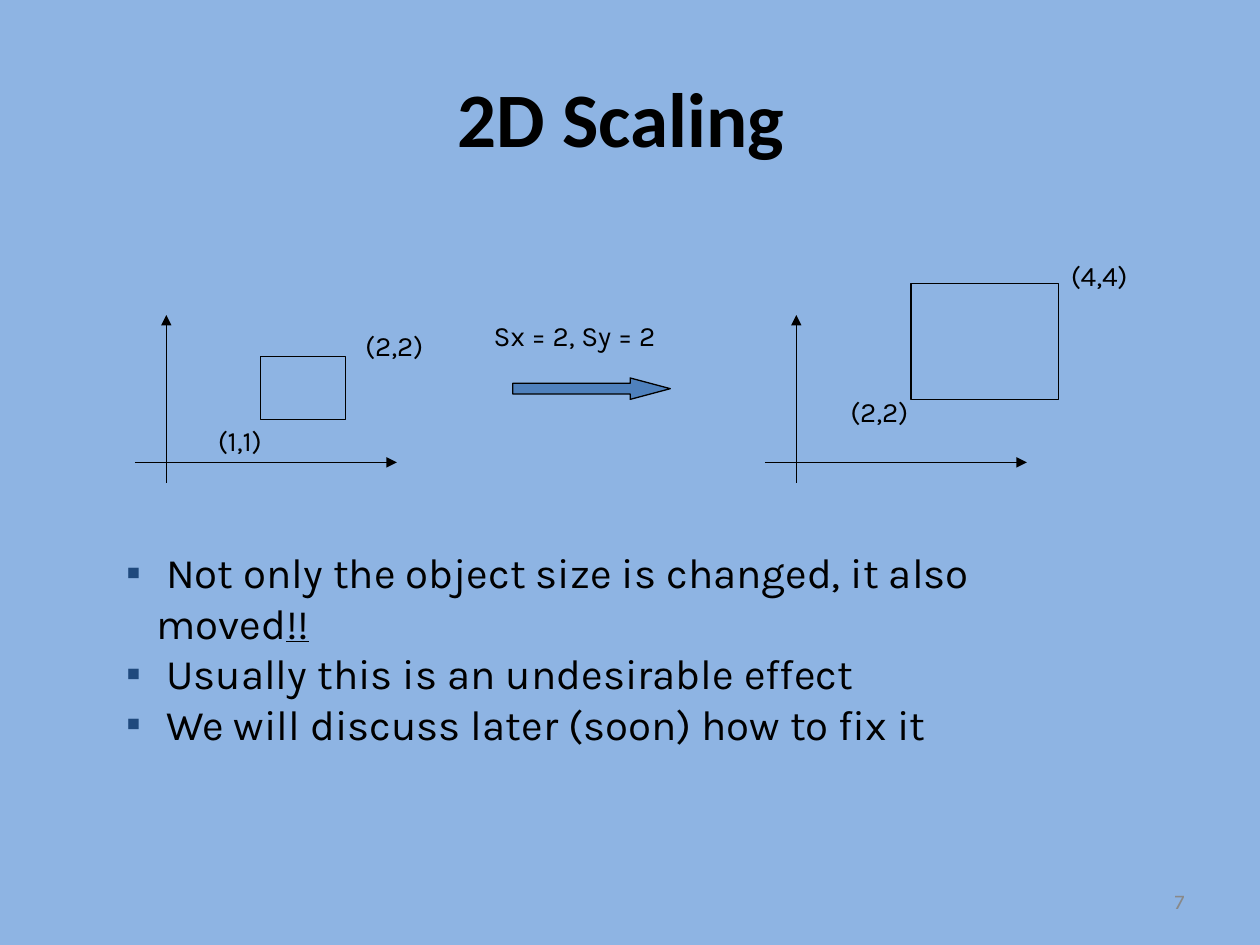
from dataclasses import dataclass

from lxml import etree
from pptx import Presentation
from pptx.dml.color import RGBColor
from pptx.enum.shapes import MSO_CONNECTOR, MSO_SHAPE
from pptx.enum.text import MSO_ANCHOR, MSO_AUTO_SIZE, PP_ALIGN
from pptx.oxml.ns import qn
from pptx.util import Inches, Pt

STRAIGHT = MSO_CONNECTOR.STRAIGHT
RECTANGLE = MSO_SHAPE.RECTANGLE
RIGHT_ARROW = MSO_SHAPE.RIGHT_ARROW
MIDDLE = MSO_ANCHOR.MIDDLE
TOP = MSO_ANCHOR.TOP
NO_AUTOFIT = MSO_AUTO_SIZE.NONE
CENTER = PP_ALIGN.CENTER
LEFT = PP_ALIGN.LEFT
RIGHT = PP_ALIGN.RIGHT
BLACK = "000000"
BODY_FONT = "Karla"


@dataclass
class Label:
    text: str
    left: float
    top: float
    width: float = 0.68


@dataclass
class Plot:
    left: float
    box: tuple[float, float, float, float]
    labels: list[Label]


PLOTS = [
    Plot(1.07, (2.07, 2.83, 0.67, 0.5),
         [Label("(1,1)", 1.63, 3.31), Label("(2,2)", 2.8, 2.56)]),
    Plot(6.07, (7.23, 2.25, 1.17, 0.92),
         [Label("(2,2)", 6.65, 3.08), Label("(4,4)", 8.4, 2)]),
]
POINTS = [
    [" Not only the object size is changed, it also moved", "!!"],
    [" Usually this is an undesirable effect"],
    [" We will discuss later (soon) how to fix it"],
]


def color(value: str) -> RGBColor:
    return RGBColor.from_string(value)


def place(shape, left: float, top: float, width: float, height: float) -> None:
    shape.left, shape.top = Inches(left), Inches(top)
    shape.width, shape.height = Inches(width), Inches(height)


def style(para, name: str, size: float, value: str = BLACK, align=LEFT) -> None:
    para.font.name = name
    para.font.size = Pt(size)
    para.font.color.rgb = color(value)
    para.alignment = align


def add_label(shapes, label: Label) -> None:
    box = shapes.add_textbox(Inches(label.left), Inches(label.top),
                             Inches(label.width), Inches(0.37))
    box.text_frame.word_wrap = False
    box.text_frame.text = label.text
    style(box.text_frame.paragraphs[0], BODY_FONT, 16)


def add_axis(shapes, start: tuple[float, float], end: tuple[float, float]) -> None:
    axis = shapes.add_connector(STRAIGHT, *map(Inches, start + end))
    axis.line.color.rgb = color(BLACK)
    axis.line.width = Pt(0.75)
    line = axis.line._get_or_add_ln()
    etree.SubElement(line, qn("a:tailEnd"), type="triangle")
    etree.SubElement(axis._element.spPr, qn("a:effectLst"))


def add_outline(shapes, preset, bounds: tuple[float, float, float, float]):
    shape = shapes.add_shape(preset, *map(Inches, bounds))
    shape.shadow.inherit = False
    shape.fill.background()
    shape.line.color.rgb = color(BLACK)
    shape.line.width = Pt(0.75)
    return shape


def add_plot(page, plot: Plot) -> None:
    shapes = page.shapes.add_group_shape().shapes
    origin = plot.left + 0.25
    add_axis(shapes, (origin, 3.83), (origin, 2.5))
    add_axis(shapes, (plot.left, 3.67), (plot.left + 2.08, 3.67))
    add_outline(shapes, RECTANGLE, plot.box)
    for label in plot.labels:
        add_label(shapes, label)


def add_scale_arrow(page) -> None:
    shapes = page.shapes.add_group_shape().shapes
    arrow = add_outline(shapes, RIGHT_ARROW, (4.07, 3, 1.25, 0.17))
    arrow.adjustments[0] = 0.5
    arrow.adjustments[1] = 1.875
    arrow.fill.solid()
    arrow.fill.fore_color.rgb = color("4F81BD")
    add_label(shapes, Label("Sx = 2, Sy = 2", 3.82, 2.48, 1.79))


def add_bullet(para) -> None:
    properties = para._p.get_or_add_pPr()
    properties.set("marL", str(Inches(0.24)))
    properties.set("indent", str(-Inches(0.24)))
    bullet_color = etree.SubElement(properties, qn("a:buClr"))
    etree.SubElement(bullet_color, qn("a:srgbClr"), val="1F497D")
    etree.SubElement(properties, qn("a:buFont"), typeface="Arial")
    etree.SubElement(properties, qn("a:buChar"), char="▪")


def fill_title(title) -> None:
    place(title, 0.5, 0.3, 9, 1.25)
    title.text_frame.text = "2D Scaling "
    title.text_frame.vertical_anchor = MIDDLE
    para = title.text_frame.paragraphs[0]
    style(para, "Calibri", 44, align=CENTER)
    para.font.bold = True


def fill_body(body) -> None:
    place(body, 0.9, 4.29, 8.09, 1.7)
    frame = body.text_frame
    frame.word_wrap = True
    frame.auto_size = NO_AUTOFIT
    frame.vertical_anchor = TOP
    for index, spans in enumerate(POINTS):
        para = frame.add_paragraph() if index else frame.paragraphs[0]
        para.space_before = Pt(0)
        add_bullet(para)
        style(para, BODY_FONT, 24)
        for text in spans:
            span = para.add_run()
            span.text = text
            if text == "!!":
                span.font.underline = True


def add_page_number(page) -> None:
    box = page.shapes.add_textbox(Inches(7.17), Inches(6.95), Inches(2.33), Inches(0.4))
    box.text_frame.word_wrap = True
    box.text_frame.vertical_anchor = MIDDLE
    box.text_frame.text = "7"
    style(box.text_frame.paragraphs[0], BODY_FONT, 12, "898989", RIGHT)


deck = Presentation()
deck.slide_width, deck.slide_height = Inches(10), Inches(7.5)
page = deck.slides.add_slide(deck.slide_layouts[1])
page.background.fill.solid()
page.background.fill.fore_color.rgb = color("8EB4E3")
fill_title(page.shapes.title)
fill_body(page.placeholders[1])
for plot in PLOTS:
    add_plot(page, plot)
add_scale_arrow(page)
add_page_number(page)
deck.save("out.pptx")
